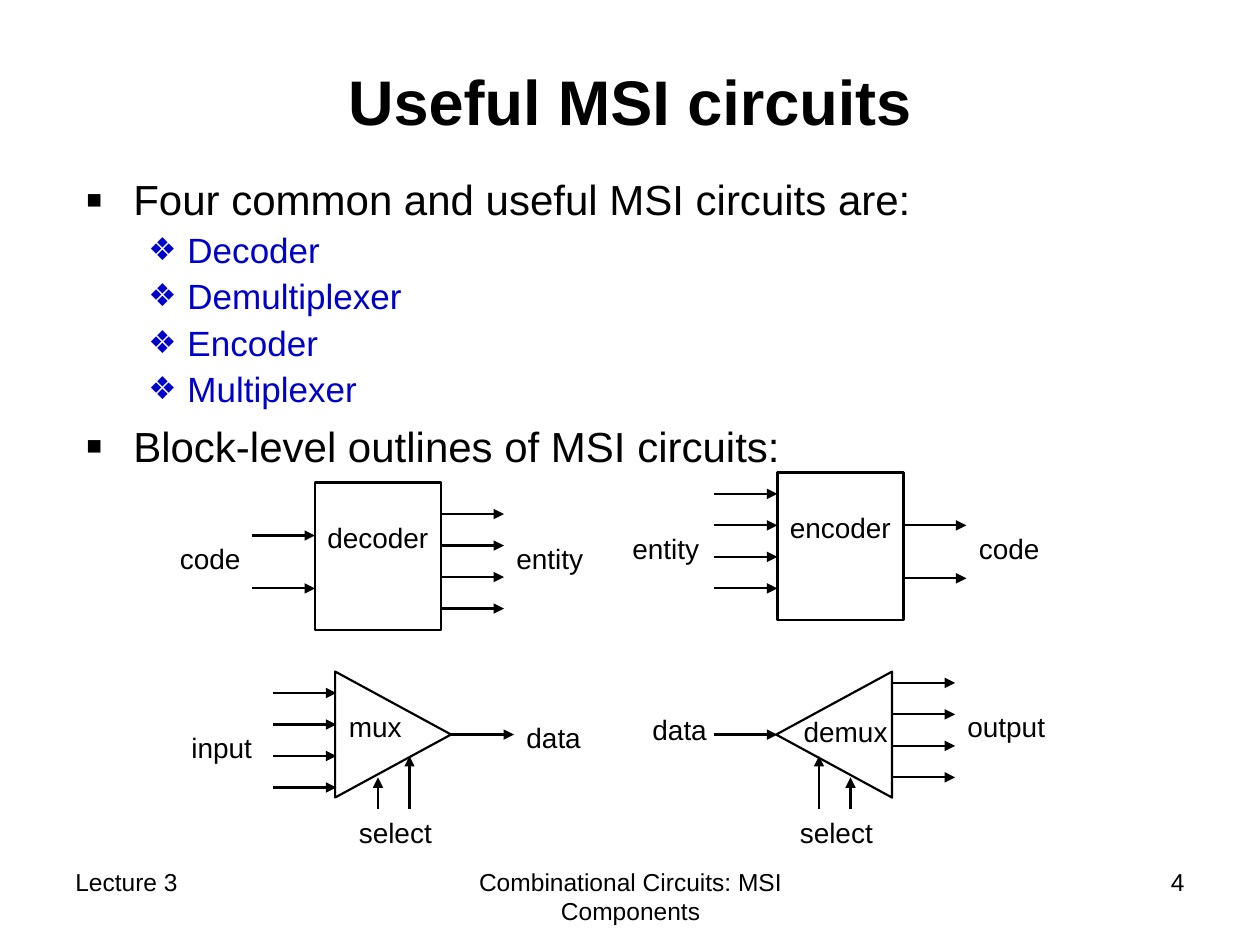
from lxml import etree
from pptx import Presentation
from pptx.dml.color import RGBColor
from pptx.enum.shapes import MSO_CONNECTOR, MSO_SHAPE
from pptx.enum.text import MSO_ANCHOR, PP_ALIGN
from pptx.oxml.ns import qn
from pptx.util import Inches, Pt

BLACK = RGBColor(0x00, 0x00, 0x00)
BLUE = RGBColor(0x00, 0x00, 0xCC)
RECT, TRIANGLE = MSO_SHAPE.RECTANGLE, MSO_SHAPE.ISOSCELES_TRIANGLE
STRAIGHT = MSO_CONNECTOR.STRAIGHT
LEFT, CENTER, RIGHT = PP_ALIGN.LEFT, PP_ALIGN.CENTER, PP_ALIGN.RIGHT
TOP, MIDDLE = MSO_ANCHOR.TOP, MSO_ANCHOR.MIDDLE

FONT = "Arial"
STUB = 0.5   # length of an input or output arrow
PITCH = 0.25  # gap between neighbouring arrows


def write(p, text, size=16, color=BLACK, bold=False, align=LEFT, before=0):
    p.alignment = align
    p.space_before = Pt(before)
    r = p.add_run()
    r.text = text
    r.font.name = FONT
    r.font.size = Pt(size)
    r.font.bold = bold
    r.font.color.rgb = color


def set_bullet(p, char, color, percent, margin, indent):
    pPr = p._p.get_or_add_pPr()
    pPr.set("marL", str(Inches(margin)))
    pPr.set("indent", str(Inches(-indent)))
    clr = etree.SubElement(pPr, qn("a:buClr"))
    etree.SubElement(clr, qn("a:srgbClr"), val=str(color))
    etree.SubElement(pPr, qn("a:buSzPct"), val=str(percent * 1000))
    etree.SubElement(pPr, qn("a:buFont"), typeface=FONT)
    etree.SubElement(pPr, qn("a:buChar"), char=char)


class Deck:
    """Current slide and the line style of its diagrams."""

    def __init__(self, slide, ink=BLACK, weight=1.25):
        self.shapes = slide.shapes
        self.ink = ink
        self.weight = weight

    def frame(self, x, y, w, h, anchor=TOP):
        tf = self.shapes.add_textbox(
            Inches(x), Inches(y), Inches(w), Inches(h)).text_frame
        tf.word_wrap = True
        tf.vertical_anchor = anchor
        return tf

    def text(self, text, x, y, w, h=0.37, anchor=TOP, **style):
        write(self.frame(x, y, w, h, anchor).paragraphs[0], text, **style)

    def bullets(self, items, x, y, w, h):
        tf = self.frame(x, y, w, h)
        for i, (level, text) in enumerate(items):
            p = tf.add_paragraph() if i else tf.paragraphs[0]
            p.level = level
            if level:
                set_bullet(p, "❖", BLUE, 90, 0.81, 0.31)
                write(p, text, size=20, color=BLUE, before=2.5)
            else:
                set_bullet(p, "▪", BLACK, 120, 0.38, 0.38)
                write(p, text, size=24, before=6 if i else 0)

    def block(self, kind, x, y, w, h, rotation=0, weight=None):
        sp = self.shapes.add_shape(
            kind, Inches(x), Inches(y), Inches(w), Inches(h))
        sp.rotation = rotation
        sp.shadow.inherit = False
        sp.fill.background()
        sp.line.color.rgb = self.ink
        sp.line.width = Pt(weight or self.weight)

    def arrow(self, x1, y1, x2, y2):
        line = self.shapes.add_connector(
            STRAIGHT, Inches(x1), Inches(y1), Inches(x2), Inches(y2))
        line.line.color.rgb = self.ink
        line.line.width = Pt(self.weight)
        ln = line.line._get_or_add_ln()
        etree.SubElement(ln, qn("a:tailEnd"), type="triangle")
        etree.SubElement(line._element.spPr, qn("a:effectLst"))

    def arrows(self, x, y, count=1, pitch=PITCH):
        """Stack of equal arrows pointing right."""
        for i in range(count):
            self.arrow(x, y + i * pitch, x + STUB, y + i * pitch)

    def selects(self, short_x, long_x):
        """Two select inputs rising to the sloping side of a triangle."""
        self.arrow(short_x, 6.42, short_x, 6.17)
        self.arrow(long_x, 6.42, long_x, 6)


def main():
    prs = Presentation()
    prs.slide_width, prs.slide_height = Inches(10), Inches(7.5)
    deck = Deck(prs.slides.add_slide(prs.slide_layouts[6]))

    # Footer
    for text, x, w, align in (
            ("Lecture 3", 0.5, 2.33, LEFT),
            ("Combinational Circuits: MSI Components", 3.42, 3.17, CENTER),
            ("4", 7.17, 2.33, RIGHT)):
        deck.text(text, x, 6.83, w, 0.52, size=14, align=align)

    # Title and bullets
    deck.text("Useful MSI circuits", 0.75, 0.17, 8.5, 1.25, anchor=MIDDLE,
              size=36, bold=True, align=CENTER)
    deck.bullets([
        (0, "Four common and useful MSI circuits are:"),
        (1, "Decoder"),
        (1, "Demultiplexer"),
        (1, "Encoder"),
        (1, "Multiplexer"),
        (0, "Block-level outlines of MSI circuits:"),
    ], 0.58, 1.33, 8.17, 2.58)

    # Decoder and encoder
    deck.block(RECT, 2.5, 3.83, 1, 1.17, weight=1.5)
    deck.arrows(2, 4.25, 2, pitch=0.42)
    deck.arrows(3.5, 4.08, 4)
    deck.block(RECT, 6.17, 3.75, 1, 1.17, weight=1.5)
    deck.arrows(5.67, 3.92, 4)
    deck.arrows(7.17, 4.17, 2, pitch=0.42)

    # Multiplexer and demultiplexer
    deck.block(TRIANGLE, 2.62, 5.37, 1, 0.92, rotation=90)
    deck.arrows(2.17, 5.5, 4)
    deck.arrows(3.58, 5.83)
    deck.selects(3, 3.25)
    deck.block(TRIANGLE, 6.12, 5.37, 1, 0.92, rotation=270)
    deck.arrows(5.67, 5.83)
    deck.arrows(7.08, 5.42, 4)
    deck.selects(6.75, 6.5)

    # Labels
    for text, x, y, w in (
            ("decoder", 2.5, 4.08, 1.08),
            ("code", 1.33, 4.25, 0.75),
            ("entity", 4, 4.25, 0.75),
            ("encoder", 6.17, 4, 1.08),
            ("entity", 4.92, 4.17, 0.75),
            ("code", 7.67, 4.17, 0.75),
            ("mux", 2.67, 5.58, 0.75),
            ("input", 1.42, 5.75, 0.75),
            ("data", 4.08, 5.67, 0.75),
            ("select", 2.75, 6.42, 0.83),
            ("demux", 6.28, 5.62, 0.92),
            ("data", 5.08, 5.61, 0.75),
            ("output", 7.58, 5.58, 0.83),
            ("select", 6.25, 6.42, 0.83)):
        deck.text(text, x, y, w)

    prs.save("out.pptx")


if __name__ == "__main__":
    main()
